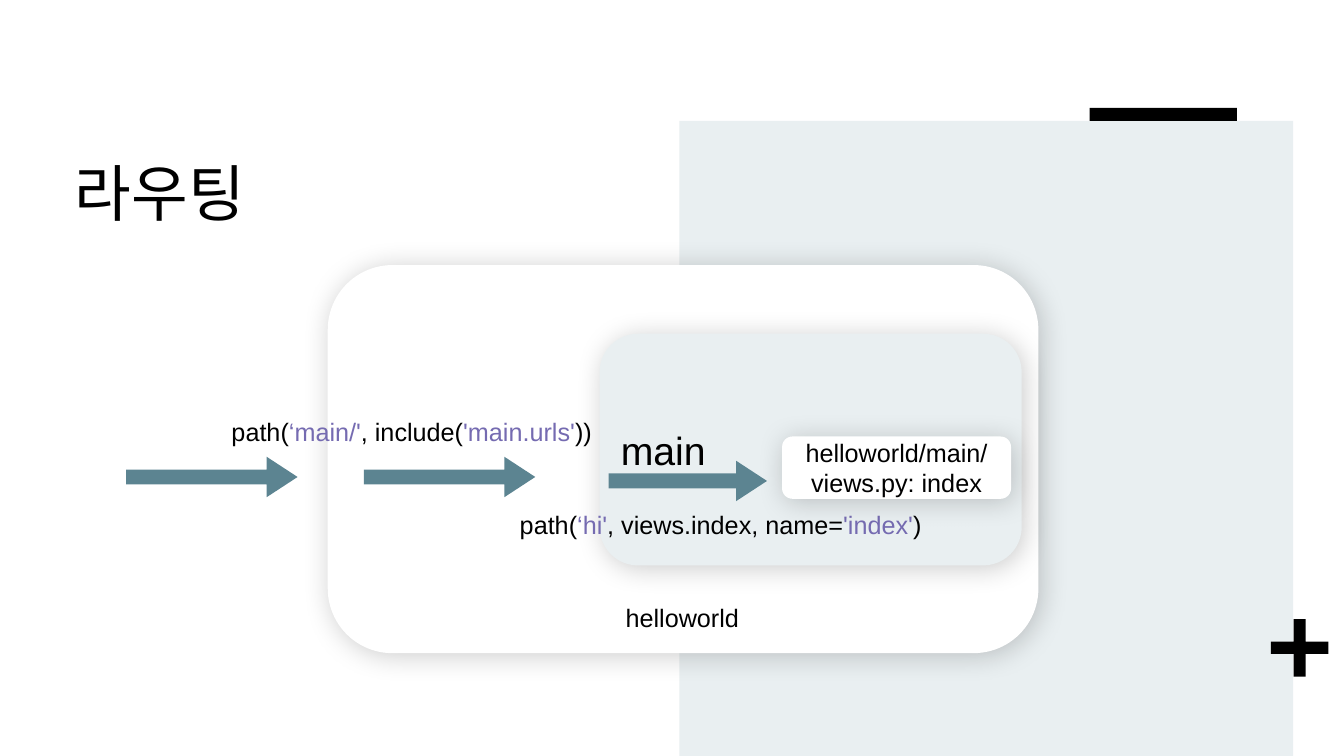
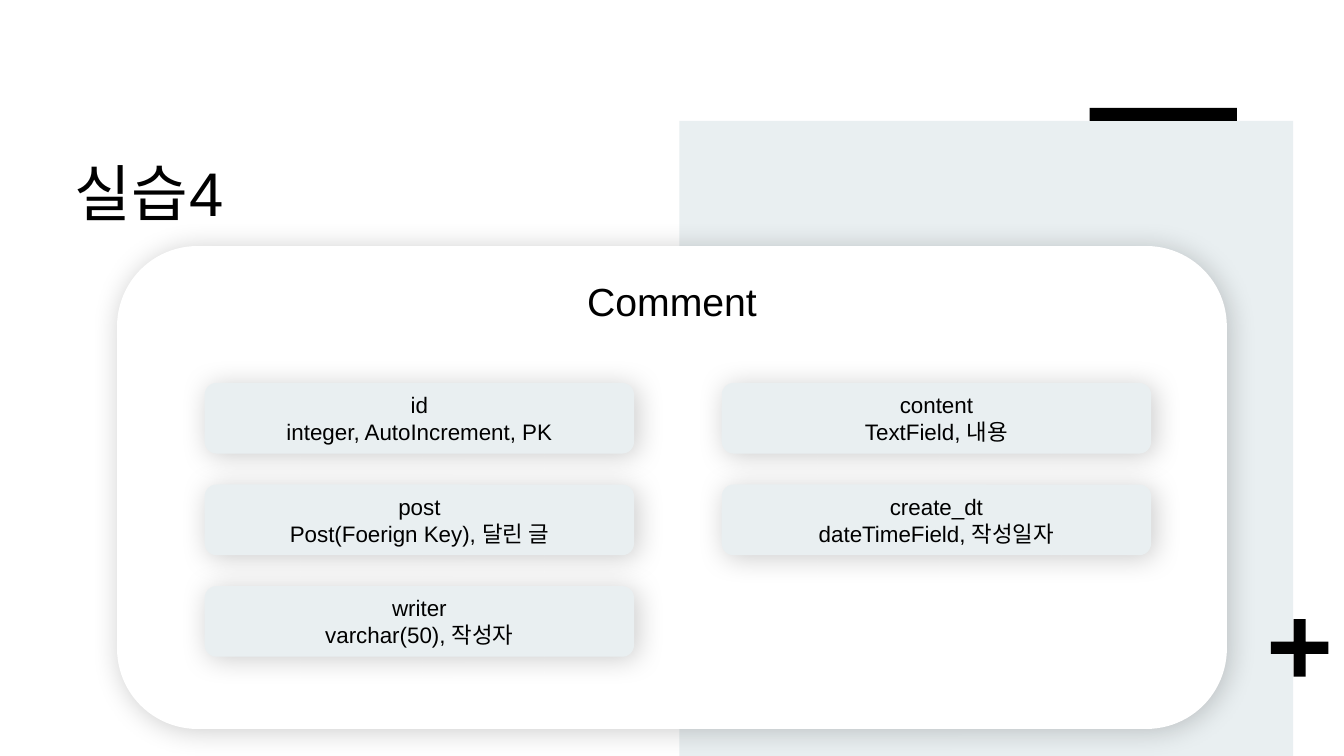
from pptx import Presentation
from pptx.dml.color import RGBColor
from pptx.enum.shapes import MSO_SHAPE as Preset
from pptx.enum.text import MSO_ANCHOR as Anchor, MSO_AUTO_SIZE as AutoSize, PP_ALIGN as Align
from pptx.oxml import parse_xml
from pptx.oxml.ns import nsdecls, qn
from pptx.util import Cm, Pt

BLACK = RGBColor(0x00, 0x00, 0x00)
WHITE = RGBColor(0xFF, 0xFF, 0xFF)
MIST = RGBColor(0xE9, 0xEF, 0xF1)
TEAL = RGBColor(0x5C, 0x84, 0x91)
VIOLET = RGBColor(0x75, 0x6B, 0xB1)

DECORATION = (
    (Preset.RECTANGLE, (17.12, 3.05, 15.47, 16), MIST, ()),
    (Preset.CROSS, (32.03, 15.6, 1.45, 1.45), BLACK, (0.395,)),
    (Preset.RECTANGLE, (27.46, 2.72, 3.71, 0.33), BLACK, ()),
)
TITLE_AREA = (1.57, 3.35, 22.96, 4.01)
TITLE_FRAME = {
    "margin_left": Cm(0.3),
    "margin_top": Cm(0.3),
    "margin_right": Cm(0.3),
    "margin_bottom": Cm(0.25),
    "vertical_anchor": Anchor.TOP,
    "auto_size": AutoSize.NONE,
    "word_wrap": True,
}
SHADOW = (
    f'<a:effectLst {nsdecls("a")}>'
    '<a:outerShdw blurRad="254000" dist="38100" dir="2700000" algn="tl" rotWithShape="0">'
    '<a:srgbClr val="000000"><a:alpha val="20000"/></a:srgbClr>'
    '</a:outerShdw></a:effectLst>'
)


def apply_format(target, values):
    for name, value in values.items():
        setattr(target, name, value)


class Deck:
    def __init__(self):
        self.file = Presentation()
        apply_format(self.file, {"slide_width": Cm(33.87), "slide_height": Cm(19.05)})
        self.slide = None

    def new_slide(self, heading):
        self.slide = self.file.slides.add_slide(self.file.slide_layouts[5])
        for preset, area, color, adjustments in DECORATION:
            self.shape(preset, area, color, adjustments)
        title = self.slide.shapes.title
        self.slide.shapes._spTree.append(title._element)
        places = ("left", "top", "width", "height")
        apply_format(title, dict(zip(places, map(Cm, TITLE_AREA))))
        self.put_text(title, [heading], 44, Align.LEFT, **TITLE_FRAME)
        paragraph = title.text_frame.paragraphs[0]
        paragraph.line_spacing = 1.14
        paragraph.runs[0].font._element.set("spc", "50")

    def shape(self, preset, area, color, adjustments=()):
        shape = self.slide.shapes.add_shape(preset, *map(Cm, area))
        shape.shadow.inherit = False
        shape.fill.solid()
        shape.fill.fore_color.rgb = color
        shape.line.fill.background()
        for index, value in enumerate(adjustments):
            shape.adjustments[index] = value
        return shape

    def card(self, area, color, lines=(), size=18, align=Align.CENTER, **frame):
        card = self.shape(Preset.ROUNDED_RECTANGLE, area, color)
        properties = card._element.spPr
        properties.replace(properties.find(qn("a:effectLst")), parse_xml(SHADOW))
        if lines:
            self.put_text(card, lines, size, align, **{"vertical_anchor": Anchor.MIDDLE, **frame})

    def arrow(self, area):
        self.shape(Preset.RIGHT_ARROW, area, TEAL, (0.368, 0.764))

    def label(self, area, line):
        box = self.slide.shapes.add_textbox(*map(Cm, area))
        self.put_text(box, [line], 18, Align.CENTER, word_wrap=True)

    def put_text(self, holder, lines, size, align, **frame):
        text = holder.text_frame
        apply_format(text, frame)
        for index, line in enumerate(lines):
            paragraph = text.add_paragraph() if index else text.paragraphs[0]
            paragraph.alignment = align
            pieces = [(line, BLACK)] if isinstance(line, str) else line
            for words, color in pieces:
                run = paragraph.add_run()
                run.text = words
                apply_format(run.font, {"size": Pt(size), "name": "Arial", "bold": False})
                run.font.color.rgb = color


def build_routing(deck):
    deck.new_slide("라우팅")
    deck.card((8.26, 6.68, 17.91, 9.78), WHITE)
    deck.card((15.11, 8.41, 10.64, 5.84), MIST, ["main"], 28, Align.LEFT)
    deck.label((15.34, 15.06, 3.71, 1.02), "helloworld")
    for area in (
        (3.18, 11.51, 4.32, 1.02),
        (9.17, 11.51, 4.32, 1.02),
        (15.34, 11.61, 3.99, 1.02),
    ):
        deck.arrow(area)
    deck.label((5.23, 10.36, 10.29, 1.02), [
        ("path(", BLACK), ("‘main/'", VIOLET), (", include(", BLACK),
        ("'main.urls'", VIOLET), ("))", BLACK),
    ])
    deck.label((12.37, 12.7, 11.58, 1.02), [
        ("path(", BLACK), ("‘hi'", VIOLET), (", views.index, name=", BLACK),
        ("'index'", VIOLET), (")", BLACK),
    ])
    deck.card((19.71, 11, 5.77, 1.57), WHITE, ["helloworld/main/", "views.py: index"])


def build_practice(deck):
    deck.new_slide("실습4")
    deck.card((2.95, 6.2, 27.97, 12.17), WHITE, ["Comment"], 28,
              vertical_anchor=Anchor.TOP, margin_top=Cm(0.2))
    field_columns = (
        (("id", "integer, AutoIncrement, PK"),
         ("post", "Post(Foerign Key), 달린 글"),
         ("writer", "varchar(50), 작성자")),
        (("content", "TextField, 내용"),
         ("create_dt", "dateTimeField, 작성일자")),
    )
    for column, fields in enumerate(field_columns):
        for row, field in enumerate(fields):
            area = (5.16 + 13.03 * column, 9.65 + 2.56 * row, 10.82, 1.78)
            deck.card(area, MIST, field, 16)


def main():
    deck = Deck()
    build_routing(deck)
    build_practice(deck)
    deck.file.save("out.pptx")


if __name__ == "__main__":
    main()
